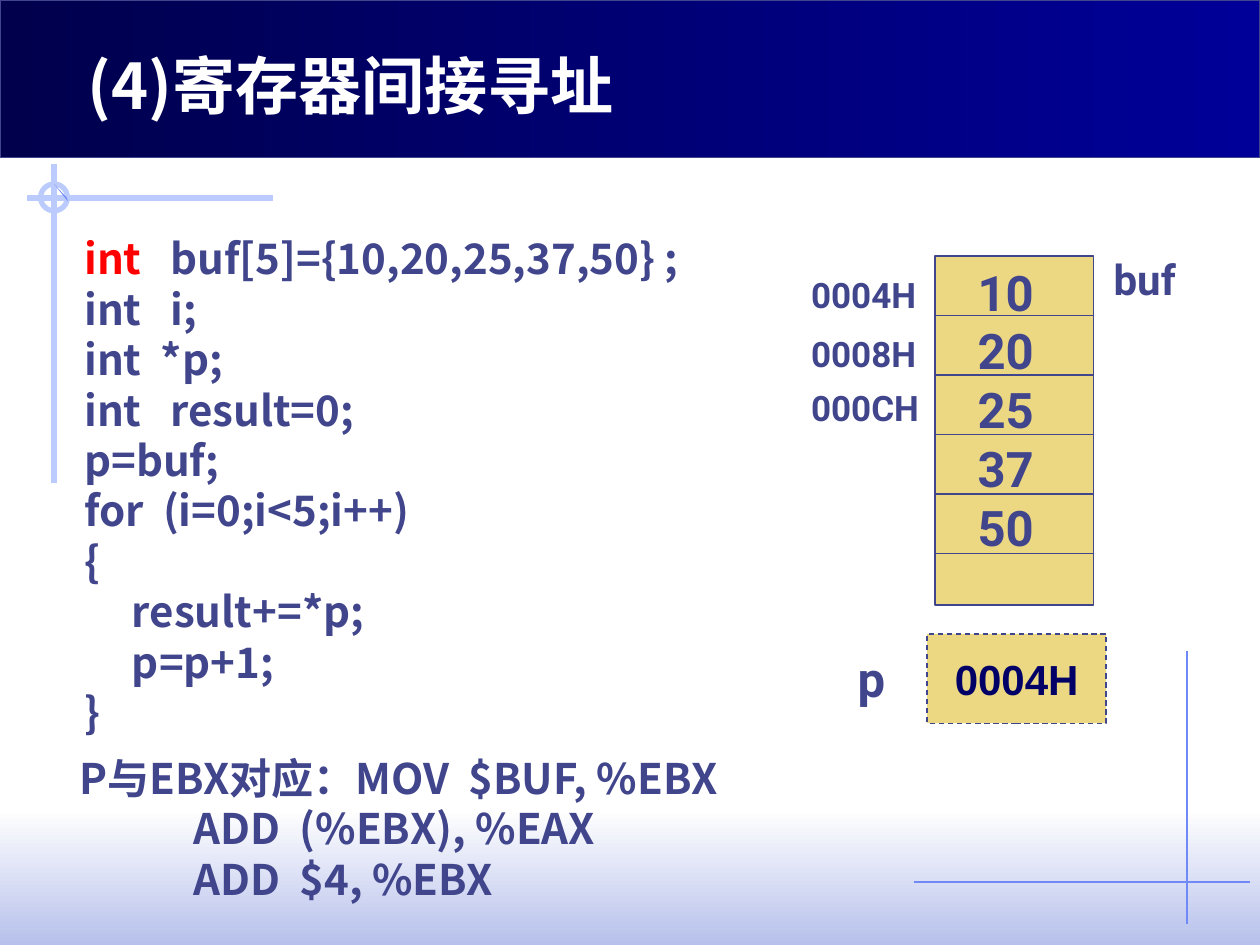
from lxml import etree
from pptx import Presentation
from pptx.dml.color import RGBColor
from pptx.enum.dml import MSO_LINE
from pptx.enum.shapes import MSO_CONNECTOR, MSO_SHAPE
from pptx.enum.text import MSO_ANCHOR, PP_ALIGN
from pptx.oxml.ns import qn
from pptx.util import Cm, Pt

RECT, OVAL = MSO_SHAPE.RECTANGLE, MSO_SHAPE.OVAL
STRAIGHT, DASH = MSO_CONNECTOR.STRAIGHT, MSO_LINE.DASH
TOP, MIDDLE, CENTER = MSO_ANCHOR.TOP, MSO_ANCHOR.MIDDLE, PP_ALIGN.CENTER

# Content
TITLE = "(4)寄存器间接寻址"
CODE = [
    [("int   ", "keyword"), ("buf[5]={10,20,25,37,50} ;", "code")],
    "int   i;",
    "int  *p;",
    "int   result=0;",
    "p=buf;",
    "for  (i=0;i<5;i++)",
    "{",
    "     result+=*p;",
    "     p=p+1;",
    "}",
]
ASSEMBLY = [
    "P与EBX对应：MOV  $BUF, %EBX",
    "            ADD  (%EBX), %EAX",
    "            ADD  $4, %EBX",
]
VALUES = ["10", "20", "25", "37", "50"]
ADDRESSES = [("0004H", 5.38), ("0008H", 6.58), ("000CH", 7.67)]  # text, top

THEME = {
    "ink": "40458C", "cell": "ECD882", "cross": "BBCBFD", "rule": "6F89F7",
    "header": ("00004D", "000099"), "footer": ("FFFFFF", "B7C1EB"),
    "leading": 1.2,
    "text": {  # font, size, colour
        "title": ("Noto Sans CJK JP", 36, "FFFFFF"),
        "code": ("Noto Sans CJK SC", 24, "40458C"),
        "keyword": ("Noto Sans CJK SC", 24, "FF0000"),
        "value": ("Roboto", 28, "40458C"),
        "label": ("Roboto", 24, "40458C"),
        "address": ("Roboto", 20, "40458C"),
        "pointer": ("Arial", 24, "000066"),
    },
}


def rgb(value):
    return RGBColor.from_string(value)


def set_line(line, color, width=0.75):
    line.color.rgb = rgb(color)
    line.width = Pt(width)


def add_box(kind, x, y, w, h, fill=None, line=None, width=0.75):
    """Add a preset shape; a pair of colours makes a gradient."""
    s = shapes.add_shape(kind, Cm(x), Cm(y), Cm(w), Cm(h))
    s.shadow.inherit = False
    if fill is None:
        s.fill.background()
    elif isinstance(fill, tuple):
        s.fill.gradient()
        for stop, color in zip(s.fill.gradient_stops, fill):
            stop.color.rgb = rgb(color)
    else:
        s.fill.solid()
        s.fill.fore_color.rgb = rgb(fill)
    if line:
        set_line(s.line, line, width)
    else:
        s.line.fill.background()
    return s


def add_line(x1, y1, x2, y2, color, width=0.75):
    s = shapes.add_connector(STRAIGHT, Cm(x1), Cm(y1), Cm(x2), Cm(y2))
    set_line(s.line, color, width)
    etree.SubElement(s._element.spPr, qn("a:effectLst"))


def write(s, lines, style, wrap=False, anchor=TOP, align=None):
    """Write one paragraph per line; a line is text or (text, style) runs."""
    tf = s.text_frame
    for name, value in {"word_wrap": wrap, "vertical_anchor": anchor}.items():
        setattr(tf, name, value)
    for i, line in enumerate(lines):
        p = tf.add_paragraph() if i else tf.paragraphs[0]
        p.alignment = align
        p.line_spacing = Pt(THEME["text"][style][1] * THEME["leading"])
        for text, run_style in [(line, style)] if isinstance(line, str) else line:
            font, size, color = THEME["text"][run_style]
            r = p.add_run()
            r.text = text
            r.font.color.rgb = rgb(color)
            for name, value in {"name": font, "size": Pt(size), "bold": True}.items():
                setattr(r.font, name, value)
            ea = etree.SubElement(r.font._element, qn("a:ea"))
            ea.set("typeface", font)


def add_text(x, y, w, h, lines, style, wrap=False):
    write(shapes.add_textbox(Cm(x), Cm(y), Cm(w), Cm(h)), lines, style, wrap)


prs = Presentation()
prs.slide_width, prs.slide_height = Cm(25.4), Cm(19.05)
shapes = prs.slides.add_slide(prs.slide_layouts[6]).shapes

# Background bands
footer = add_box(RECT, 0, 16.31, 25.4, 2.74, THEME["footer"])
footer.fill.gradient_angle = 270
header = add_box(RECT, 0, 0, 25.4, 3.18, THEME["header"], THEME["ink"])
header.fill.gradient_angle = 0

# Corner crosses and ring
add_line(23.93, 13.13, 23.93, 18.62, THEME["rule"])
add_line(18.42, 17.78, 25.2, 17.78, THEME["rule"])
add_line(0.55, 3.99, 5.51, 3.99, THEME["cross"], 3)
add_line(1.09, 3.3, 1.09, 9.73, THEME["cross"], 3)
add_box(OVAL, 0.82, 3.71, 0.54, 0.54, None, THEME["cross"], 3)
fb = shapes.build_freeform(Cm(1.09), Cm(3.71))
fb.add_line_segments([(Cm(1.35), Cm(3.99)), (Cm(1.37), Cm(4.06))])
sliver = fb.convert_to_shape()
sliver.shadow.inherit = False
sliver.fill.solid()
sliver.fill.fore_color.rgb = rgb(THEME["rule"])
sliver.line.fill.background()

# Title and code
add_text(1.52, 0.81, 20.62, 1.8, [TITLE], "title", True)
add_text(1.45, 4.57, 13.59, 10.52, CODE, "code", True)
add_text(1.35, 15.04, 16.76, 3.33, ASSEMBLY, "code", True)

# Memory cells
LEFT, UPPER, WIDTH, ROW = 18.85, 5.16, 3.2, 1.2
add_box(RECT, LEFT, UPPER, WIDTH, 7.04, THEME["cell"], THEME["ink"])
for i in range(1, len(VALUES) + 1):
    y = UPPER + i * ROW
    add_line(LEFT, y, LEFT + WIDTH, y, THEME["ink"])
add_text(19.46, UPPER, 1.78, 6.2, VALUES, "value")
add_text(22.2, 4.98, 1.9, 1.27, ["buf"], "label")
for text, y in ADDRESSES:
    add_text(16.1, y, 2.85, 1.09, [text], "address")

# Pointer
pointer = add_box(RECT, 18.69, 12.78, 3.61, 1.8, THEME["cell"], THEME["ink"])
pointer.line.dash_style = DASH
write(pointer, ["0004H"], "pointer", anchor=MIDDLE, align=CENTER)
add_text(17.04, 12.95, 1.14, 1.45, ["p"], "value")

prs.save("out.pptx")
